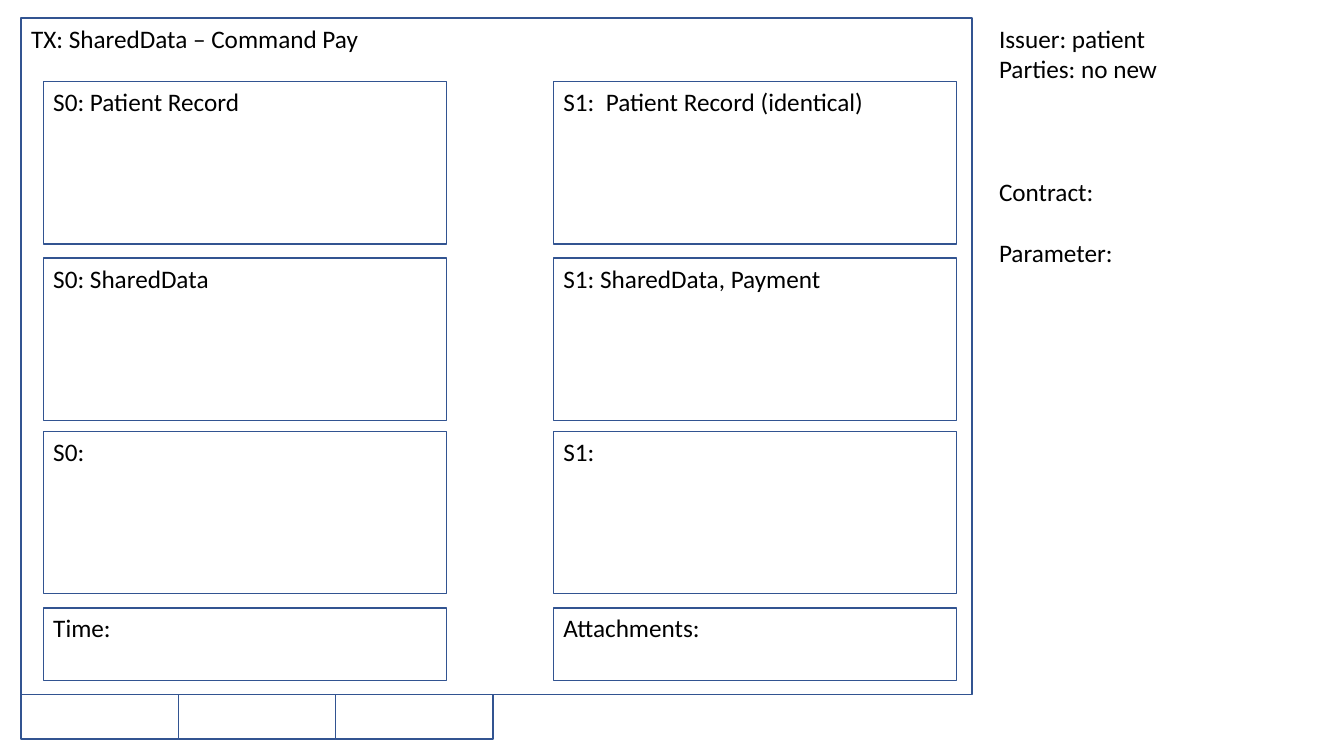
from pptx import Presentation, util as u
from pptx.dml.color import RGBColor
from pptx.enum import shapes, text

COLORS = {"border": "325491", "state": "FFFFFF", "ink": "000000"}
LINE = 22  # height of one text line, points

# Content
TITLE = "TX: SharedData – Command Pay"
STATES = [  # input state, output state
    ("S0: Patient Record", "S1:  Patient Record (identical)"),
    ("S0: SharedData", "S1: SharedData, Payment"),
    ("S0:", "S1:"),
]
FOOTER = ("Time:", "Attachments:")
NOTES = [  # wording, empty lines above
    ("Issuer: patient", 0),
    ("Parties: no new", 0),
    ("Contract: ", 3),
    ("Parameter: ", 1),
]
SIGNATURES = 3

# Grid, inches
FRAME_X, FRAME_Y, FRAME_W, FRAME_H = 0.21, 0.18, 9.43, 6.71
COLUMNS, COLUMN_W = (0.43, 5.49), 4
STATE_ROWS, STATE_H = (0.81, 2.56, 4.28), 1.61
FOOTER_Y, FOOTER_H = 6.03, 0.72
SIGNATURE_W, SIGNATURE_H = 1.56, 0.44

deck = Presentation()
deck.slide_width, deck.slide_height = u.Inches(13.33), u.Inches(7.5)
slide = deck.slides.add_slide(deck.slide_layouts[6])


def color(name):
    return RGBColor.from_string(COLORS[name])


def write(frame, lines):
    frame.word_wrap = True
    frame.vertical_anchor = text.MSO_ANCHOR.TOP
    for i, (line, blanks) in enumerate(lines):
        paragraph = frame.paragraphs[0] if i == 0 else frame.add_paragraph()
        paragraph.text = line
        paragraph.alignment = text.PP_ALIGN.LEFT
        paragraph.space_before = u.Pt(blanks * LINE)
        paragraph.font.name, paragraph.font.size = "Calibri", u.Pt(18)
        paragraph.font.color.rgb = color("ink")


def add_box(x, y, w, h, label=None, fill=None):
    box = slide.shapes.add_shape(shapes.MSO_SHAPE.RECTANGLE, *map(u.Inches, (x, y, w, h)))
    box.shadow.inherit = False
    box.line.color.rgb, box.line.width = color("border"), u.Pt(1)
    if fill:
        box.fill.solid()
        box.fill.fore_color.rgb = color(fill)
    else:
        box.fill.background()
    if label:
        write(box.text_frame, [(label, 0)])


# Signature cells under the transaction
for i in range(SIGNATURES):
    add_box(FRAME_X + i * SIGNATURE_W, FRAME_Y + FRAME_H, SIGNATURE_W, SIGNATURE_H)

# Transaction frame with its states
add_box(FRAME_X, FRAME_Y, FRAME_W, FRAME_H, TITLE)
for y, row in zip(STATE_ROWS, STATES):
    for x, label in zip(COLUMNS, row):
        add_box(x, y, COLUMN_W, STATE_H, label, "state")
for x, label in zip(COLUMNS, FOOTER):
    add_box(x, FOOTER_Y, COLUMN_W, FOOTER_H, label)

# Notes beside the frame
notes = slide.shapes.add_textbox(*map(u.Inches, (9.81, FRAME_Y, 3.32, 2.52)))
write(notes.text_frame, NOTES)
notes.text_frame.auto_size = text.MSO_AUTO_SIZE.SHAPE_TO_FIT_TEXT

deck.save("out.pptx")
